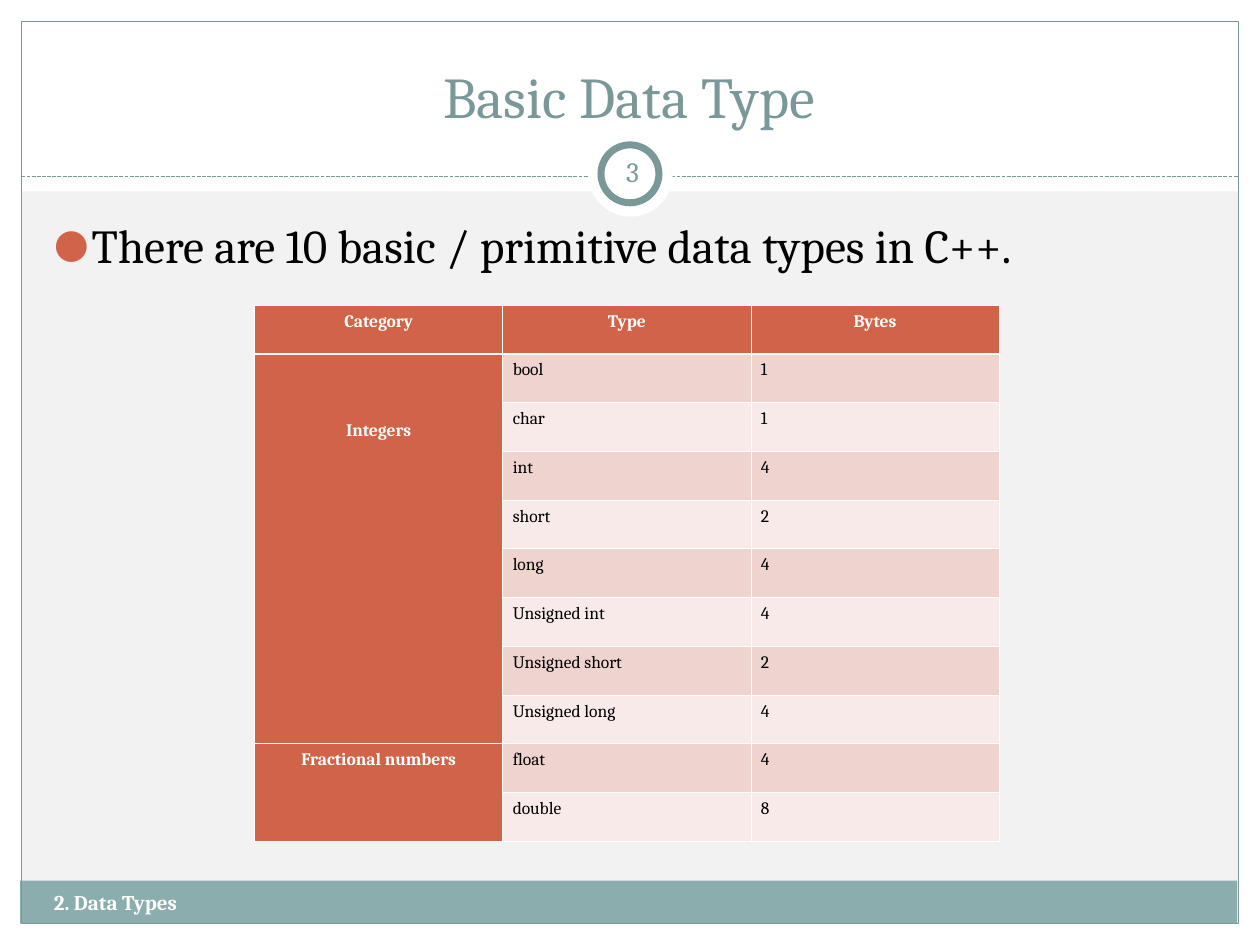
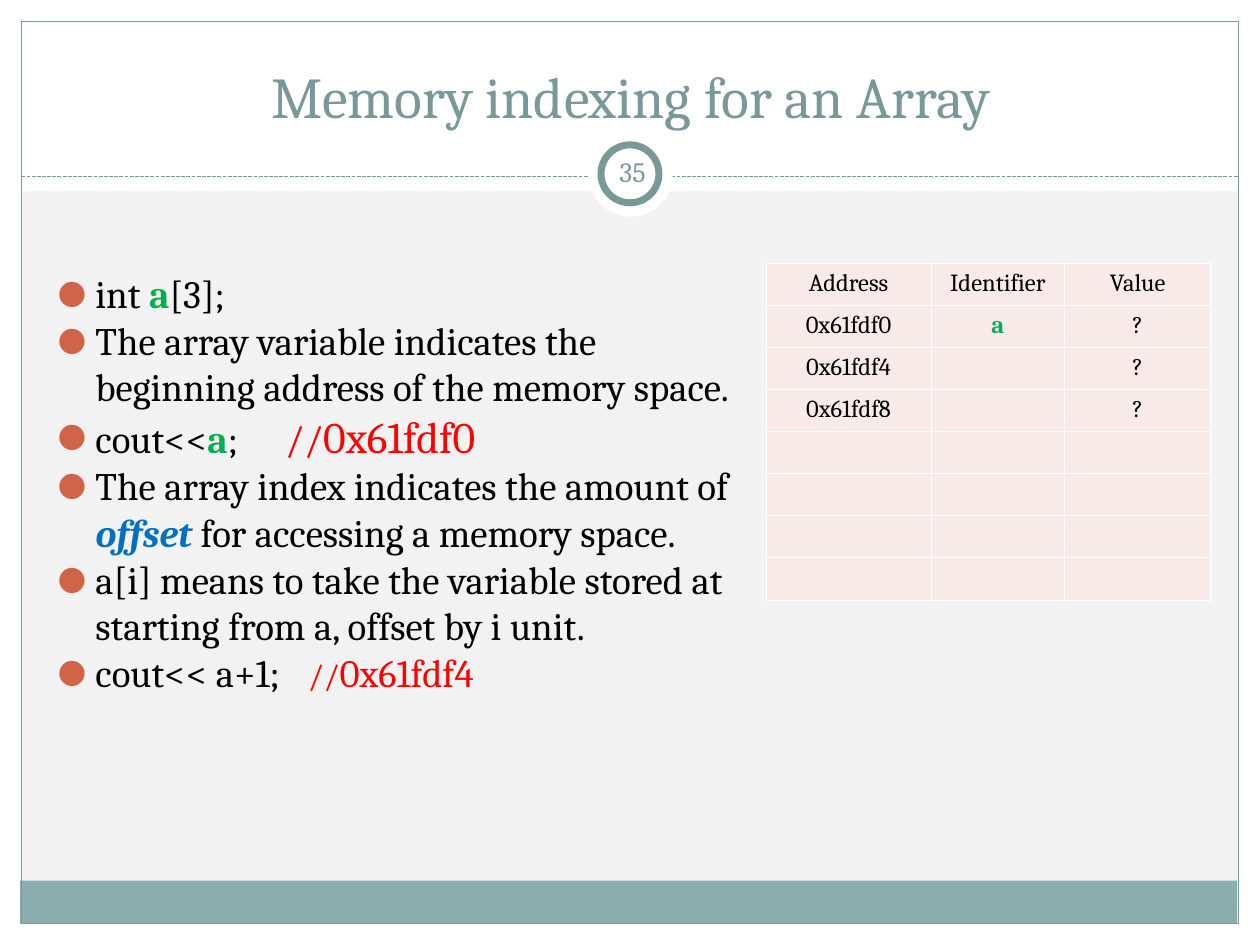
from dataclasses import dataclass

from lxml import etree
from pptx import Presentation, util as u
from pptx.dml.color import RGBColor
from pptx.enum import dml, shapes, text
from pptx.oxml.ns import qn

ALIGN = text.PP_ALIGN
ANCHOR = text.MSO_ANCHOR


@dataclass(frozen=True)
class Theme:
    font: str = "Cambria"
    paper: str = "F2F2F2"
    white: str = "FFFFFF"
    black: str = "000000"
    slate: str = "7B9899"
    footer_band: str = "8CADAE"
    accent: str = "D16349"
    row_dark: str = "EED3CF"
    row_light: str = "F7EAE9"
    variable: str = "00B050"
    term: str = "0070C0"
    output: str = "FF0000"
    title_size: float = 33
    lead_size: float = 27
    big_output_size: float = 25
    body_size: float = 22.2
    slashes_size: float = 18.5
    number_size: float = 16
    memory_size: float = 14
    footer_size: float = 12
    types_size: float = 10
    thin: float = 0.45
    thick: float = 1.47


THEME = Theme()
VARIABLE = {"color": THEME.variable, "bold": True}
OUTPUT = {"color": THEME.output}


def inches(*values):
    return [u.Inches(value) for value in values]


def add_xml(parent, tag, **attributes):
    child = etree.SubElement(parent, qn(tag))
    for name, value in attributes.items():
        child.set(name, str(value))
    return child


def set_all(target, formats):
    for name, value in formats.items():
        setattr(target, name, value)


class Deck:
    def __init__(self, theme):
        self.theme = theme
        self.prs = Presentation()
        self.prs.slide_width, self.prs.slide_height = inches(10, 7.5)
        self.slide = None

    def new_slide(self, title, title_box, number):
        t = self.theme
        self.slide = self.prs.slides.add_slide(self.prs.slide_layouts[5])
        background = self.slide.background.fill
        background.solid()
        background.fore_color.rgb = RGBColor.from_string(t.paper)
        self.frame()
        self.title(title, title_box)
        self.text((4.77, 1.12, 0.5, 0.48), [[(number, {})]],
                  {"size": t.number_size, "color": t.slate}, align=ALIGN.CENTER,
                  anchor=ANCHOR.MIDDLE, side_margin=0.05)

    def frame(self):
        t = self.theme
        rectangle, oval = shapes.MSO_SHAPE.RECTANGLE, shapes.MSO_SHAPE.OVAL
        margins = [(0, 7.33, 10, 0.17), (0, 0, 10, 1.52), (0, 0, 0.17, 7.5), (9.83, 0, 0.17, 7.5)]
        for margin in margins:
            self.shape(rectangle, margin, fill=t.white)
        self.shape(rectangle, (0.16, 6.99, 9.66, 0.34), fill=t.footer_band)
        self.shape(rectangle, (0.17, 0.17, 9.66, 7.16), line=t.slate)
        self.dashed_rule(0.17, 9.83, 1.4)
        self.shape(oval, (4.67, 1.05, 0.67, 0.67), fill=t.white)
        self.shape(oval, (4.77, 1.15, 0.46, 0.46), fill=t.white, line=t.slate, width=4)

    def shape(self, kind, box, fill=None, line=None, width=0.75):
        shape = self.slide.shapes.add_shape(kind, *inches(*box))
        shape.shadow.inherit = False
        for part, color in ((shape.fill, fill), (shape.line.fill, line)):
            if color:
                part.solid()
                part.fore_color.rgb = RGBColor.from_string(color)
            else:
                part.background()
        if line:
            shape.line.width = u.Pt(width)

    def dashed_rule(self, left, right, y):
        rule = self.slide.shapes.add_connector(
            shapes.MSO_CONNECTOR.STRAIGHT, *inches(left, y, right, y))
        rule.line.color.rgb = RGBColor.from_string(self.theme.slate)
        set_all(rule.line, {"width": u.Pt(0.75), "dash_style": dml.MSO_LINE.SQUARE_DOT})
        add_xml(rule._element.spPr, "a:effectLst")

    def title(self, words, box):
        title = self.slide.shapes.title
        # The bands are opaque, so the title goes in front of them.
        self.slide.shapes._spTree.append(title._element)
        set_all(title, dict(zip(("left", "top", "width", "height"), inches(*box))))
        set_all(title.text_frame, {"word_wrap": True, "auto_size": text.MSO_AUTO_SIZE.NONE,
                                   "vertical_anchor": ANCHOR.BOTTOM})
        paragraph = title.text_frame.paragraphs[0]
        paragraph.alignment = ALIGN.CENTER
        self.runs(paragraph, [(words, {})],
                  {"size": self.theme.title_size, "color": self.theme.slate})

    def runs(self, paragraph, pieces, base):
        """Add (words, formats) pieces; "tracking" is extra letter spacing in points."""
        for words, extra in pieces:
            formats = {"name": self.theme.font, "bold": False, **base, **extra}
            run = paragraph.add_run()
            run.text = words
            run.font.color.rgb = RGBColor.from_string(formats.pop("color"))
            tracking = formats.pop("tracking", 0)
            formats["size"] = u.Pt(formats["size"])
            set_all(run.font, formats)
            if tracking:
                run.font._element.set("spc", str(tracking * 100))

    def text(self, box, paragraphs, base, align=ALIGN.LEFT, anchor=ANCHOR.TOP,
             side_margin=0.1, bullets=False, space_before=0):
        frame = self.slide.shapes.add_textbox(*inches(*box)).text_frame
        set_all(frame, {"word_wrap": True, "vertical_anchor": anchor,
                        "margin_left": u.Inches(side_margin),
                        "margin_right": u.Inches(side_margin)})
        for index, pieces in enumerate(paragraphs):
            paragraph = frame.add_paragraph() if index else frame.paragraphs[0]
            set_all(paragraph, {"alignment": align, "space_before": u.Pt(space_before)})
            if bullets:
                self.bullet(paragraph)
            self.runs(paragraph, pieces, base)

    def bullet(self, paragraph):
        props = paragraph._p.get_or_add_pPr()
        props.set("marL", str(u.Inches(0.3)))
        props.set("indent", str(u.Inches(-0.3)))
        add_xml(add_xml(props, "a:buClr"), "a:srgbClr", val=self.theme.accent)
        add_xml(props, "a:buSzPct", val=85000)
        add_xml(props, "a:buFont", typeface=self.theme.font)
        add_xml(props, "a:buChar", char="●")

    def bullets(self, box, paragraphs, size, space_before=0):
        self.text(box, paragraphs, {"size": size, "color": self.theme.black},
                  bullets=True, space_before=space_before)

    def table(self, left, top, widths, row_height, rows):
        height = row_height * len(rows)
        table = self.slide.shapes.add_table(
            len(rows), len(widths), *inches(left, top, sum(widths), height)).table
        set_all(table, {"first_row": False, "horz_banding": False})
        for column, width in zip(table.columns, widths):
            column.width = u.Inches(width)
        for row in table.rows:
            row.height = u.Inches(row_height)
        return table

    def cell(self, cell, words, base, fill, align, side_margin, top=THEME.thin, bottom=THEME.thin):
        props = cell._tc.get_or_add_tcPr()
        edges = {"a:lnL": THEME.thin, "a:lnR": THEME.thin, "a:lnT": top, "a:lnB": bottom}
        for tag, width in edges.items():
            edge = add_xml(props, tag, w=u.Pt(width))
            add_xml(add_xml(edge, "a:solidFill"), "a:srgbClr", val=self.theme.white)
        cell.fill.solid()
        cell.fill.fore_color.rgb = RGBColor.from_string(fill)
        set_all(cell, {"margin_left": u.Inches(side_margin), "margin_right": u.Inches(side_margin)})
        paragraph = cell.text_frame.paragraphs[0]
        paragraph.alignment = align
        if words:
            self.runs(paragraph, [(words, {})], base)
        else:
            # Keeps an empty cell from growing to the default type size.
            add_xml(paragraph._p, "a:endParaRPr", sz=int(base["size"] * 100))


def data_types_slide(deck):
    t = deck.theme
    deck.new_slide("Basic Data Type", (0.33, 0.25, 9.33, 0.83), "3")
    deck.bullets((0.33, 1.67, 9.3, 0.83),
                 [[("There are 10 basic / primitive data types in C++.", {})]],
                 t.lead_size, space_before=6.8)
    deck.text((0.33, 7.01, 2.17, 0.4), [[("2. Data Types", {})]],
              {"size": t.footer_size, "color": t.white, "bold": True})

    categories = {
        "Integers": [("bool", "1"), ("char", "1"), ("int", "4"), ("short", "2"), ("long", "4"),
                     ("Unsigned int", "4"), ("Unsigned short", "2"), ("Unsigned long", "4")],
        "Fractional numbers": [("float", "4"), ("double", "8")],
    }
    rows = [("Category", "Type", "Bytes")]
    spans = []
    for category, members in categories.items():
        spans.append((len(rows), len(rows) + len(members) - 1))
        rows += [("" if i else category, *member) for i, member in enumerate(members)]

    table = deck.table(2.02, 2.42, [1.97] * 3, 4.26 / len(rows), rows)
    heading = {"size": t.types_size, "color": t.white, "bold": True}
    entry = {"size": t.types_size, "color": t.black}
    for r, row in enumerate(rows):
        for c, words in enumerate(row):
            is_heading = r == 0 or c == 0
            band = t.row_dark if r % 2 else t.row_light
            deck.cell(table.cell(r, c), words, heading if is_heading else entry,
                      t.accent if is_heading else band,
                      ALIGN.CENTER if is_heading else ALIGN.JUSTIFY, 0.08,
                      top=t.thick if r == 1 else t.thin,
                      bottom=t.thick if r == 0 else t.thin)
    for first, last in spans:
        table.cell(first, 0).merge(table.cell(last, 0))
    table.cell(1, 0).margin_top = u.Inches(0.53)


def memory_slide(deck):
    t = deck.theme
    deck.new_slide("Memory indexing for an Array", (0.69, 0.31, 8.63, 0.77), "35")
    deck.bullets((0.36, 2.09, 5.64, 4.91), [
        [("int ", {}), ("a", VARIABLE), ("[3];", {})],
        [("The array variable indicates the beginning address of the memory space.", {})],
        [("cout<<", {}), ("a", VARIABLE), (";", {}), (" ", {"tracking": 22}),
         ("//", OUTPUT), ("0x61fdf0", {**OUTPUT, "size": t.big_output_size})],
        [("The array index indicates the amount of ", {}),
         ("offset", {"color": t.term, "bold": True, "italic": True}),
         (" for accessing a memory space.", {})],
        [("a[i] means to take the variable stored at starting from a, offset by i unit.", {})],
        [("cout<< a+1;", {}), (" ", {"tracking": 11}),
         ("//", {**OUTPUT, "size": t.slashes_size}), ("0x61fdf4", OUTPUT)],
    ], t.body_size)

    rows = [("Address", "Identifier", "Value"), ("0x61fdf0", "a", "?"),
            ("0x61fdf4", "", "?"), ("0x61fdf8", "", "?")] + [("", "", "")] * 4
    table = deck.table(6.08, 2.09, [1.31, 1.06, 1.16], 2.67 / len(rows), rows)
    entry = {"size": t.memory_size, "color": t.black}
    for r, row in enumerate(rows):
        for c, words in enumerate(row):
            formats = {**entry, **VARIABLE} if words == "a" else entry
            deck.cell(table.cell(r, c), words, formats, t.row_light, ALIGN.CENTER, 0.07)


def main():
    deck = Deck(THEME)
    data_types_slide(deck)
    memory_slide(deck)
    deck.prs.save("out.pptx")


if __name__ == "__main__":
    main()
